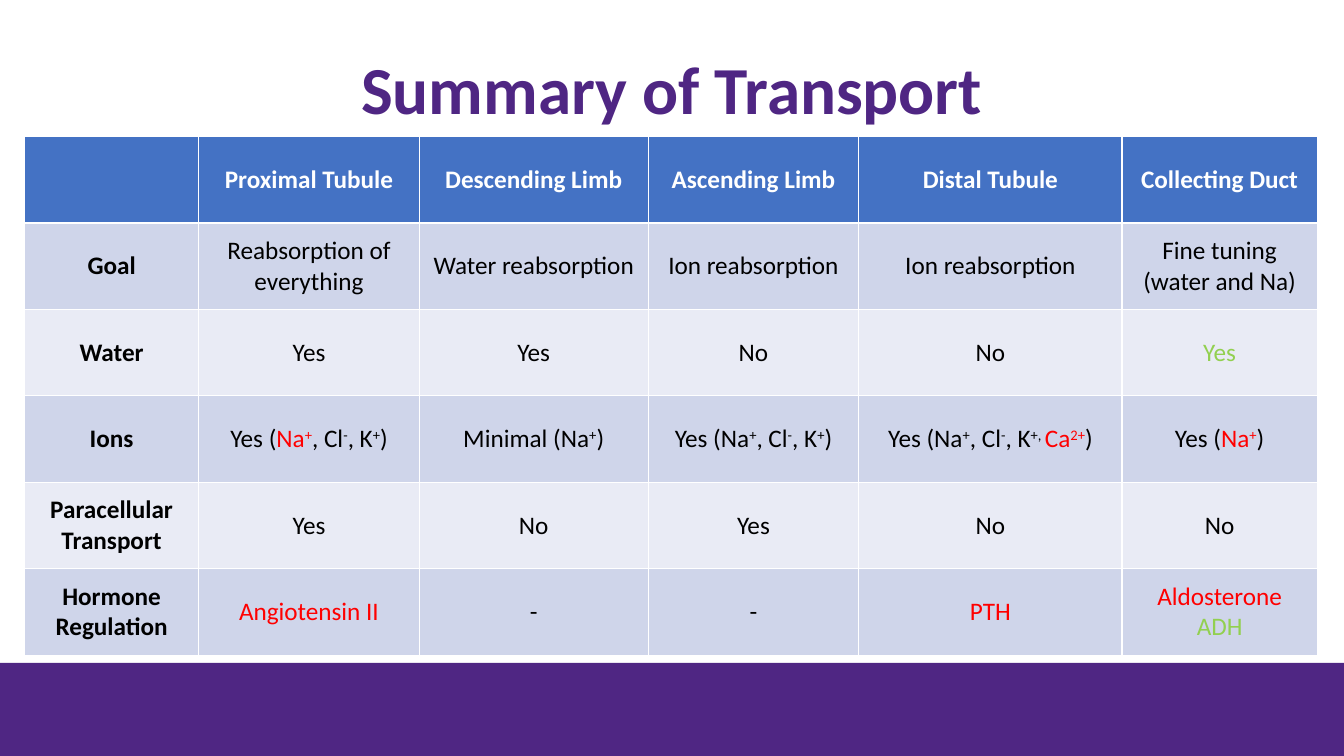
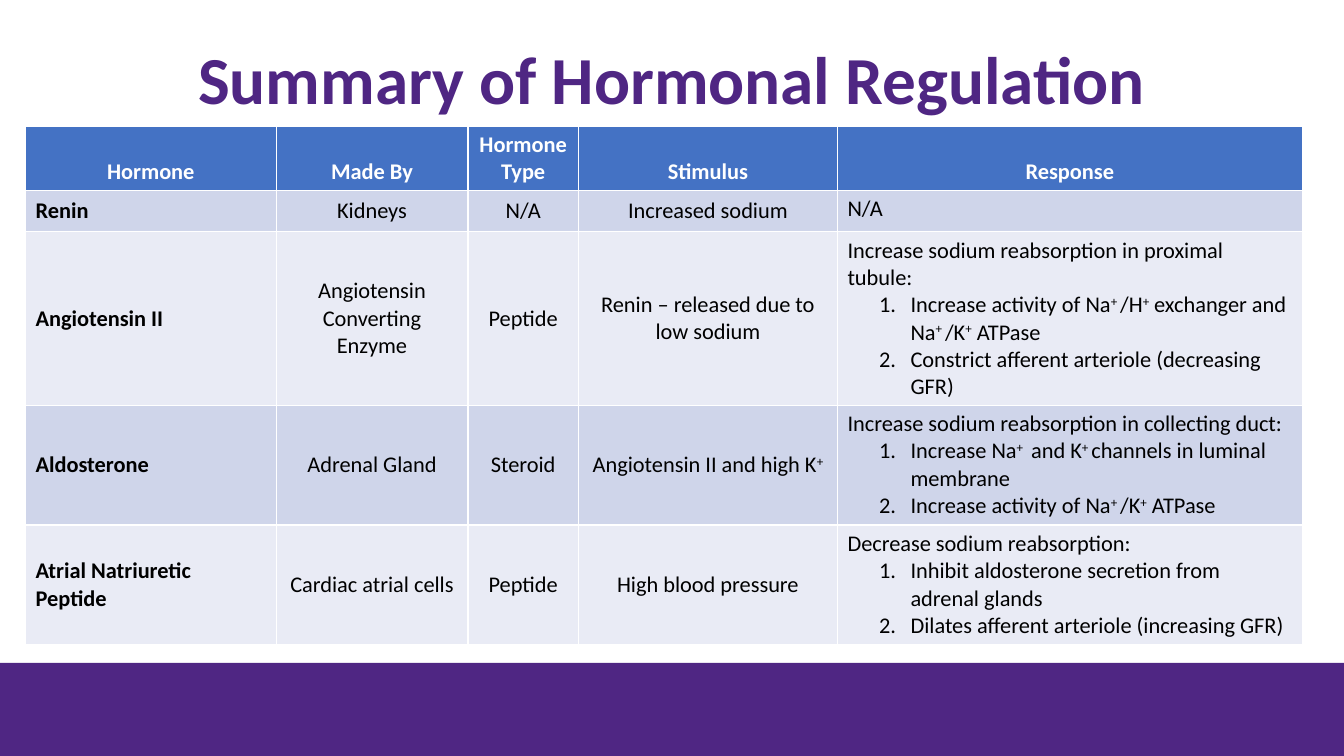
from lxml import etree
from pptx import Presentation
from pptx.dml.color import RGBColor
from pptx.enum.shapes import MSO_SHAPE
from pptx.enum.text import MSO_ANCHOR, PP_ALIGN
from pptx.oxml.ns import qn
from pptx.util import Pt

LEFT, MID = PP_ALIGN.LEFT, PP_ALIGN.CENTER
TOP, CENTER, LOW = MSO_ANCHOR.TOP, MSO_ANCHOR.MIDDLE, MSO_ANCHOR.BOTTOM
RECT = MSO_SHAPE.RECTANGLE

HUES = {
    "purple": "4F2683", "head": "4472C4", "dark": "CFD5EA", "light": "E9EBF5",
    "white": "FFFFFF", "black": "000000", "red": "FF0000", "green": "92D050",
}
FONT = "Calibri"
WIDE, HIGH = 960, 540
BAND = 66.5  # height of the footer band


def hue(name):
    return RGBColor.from_string(HUES[name])


def write(frame, text, size=18, color="black", bold=False, align=MID, space=None):
    """Markup: ^superscript^, |hue:coloured|, and "# " starts a numbered line."""
    for n, line in enumerate(text.split("\n")):
        para = frame.paragraphs[0] if n == 0 else frame.add_paragraph()
        para.alignment = align
        if space:
            para.line_spacing = space
        if line.startswith("# "):
            line = line[2:]
            props = para._p.get_or_add_pPr()
            props.set("marL", str(Pt(45)))
            props.set("indent", str(Pt(-22.5)))
            etree.SubElement(props, qn("a:buFont"), typeface="+mj-lt")
            etree.SubElement(props, qn("a:buAutoNum"), type="arabicPeriod")
        for i, part in enumerate(line.split("|")):
            tint = color
            if i % 2:
                tint, _, part = part.partition(":")
            for j, bit in enumerate(part.split("^")):
                if not bit:
                    continue
                run = para.add_run()
                run.text = bit
                font = run.font
                font.name, font.size, font.bold = FONT, Pt(size), bold
                font.color.rgb = hue(tint)
                if j % 2:
                    font._element.set("baseline", "30000")


SLIDES = [
    {
        "title": "Summary of Transport", "tall": 100, "size": 18,
        "at": (17.5, 97.5), "anchor": CENTER, "side": MID, "last": (MID, CENTER),
        "cols": [124.5, 157.5, 163.5, 150.5, 188, 139.5],
        "rows": [61.75] * 6,
        "cells": [
            ["", "Proximal Tubule", "Descending Limb", "Ascending Limb",
             "Distal Tubule", "Collecting Duct"],
            ["Goal", "Reabsorption of everything", "Water reabsorption",
             "Ion reabsorption", "Ion reabsorption", "Fine tuning (water and Na)"],
            ["Water", "Yes", "Yes", "No", "No", "|green:Yes|"],
            ["Ions", "Yes (|red:Na^+^|, Cl^-^, K^+^)", "Minimal (Na^+^)",
             "Yes (Na^+^, Cl^-^, K^+^)",
             "Yes (Na^+^, Cl^-^, K^+, ^|red:Ca^2+^|)", "Yes (|red:Na^+^|)"],
            ["Paracellular Transport", "Yes", "No", "Yes", "No", "No"],
            ["Hormone Regulation", "|red:Angiotensin II|", "-", "-", "|red:PTH|",
             "|red:Aldosterone|\n|green:ADH|"],
        ],
    },
    {
        "title": "Summary of Hormonal Regulation", "tall": 86.5, "size": 16,
        "at": (18.25, 90), "anchor": LOW, "side": LEFT, "last": (LEFT, TOP),
        "cols": [179, 137, 79, 185, 332],
        "rows": [46, 29.5, 124, 85.5, 85.5],
        "cells": [
            ["Hormone", "Made By", "Hormone Type", "Stimulus", "Response"],
            ["Renin", "Kidneys", "N/A", "Increased sodium", "N/A"],
            ["Angiotensin II", "Angiotensin Converting Enzyme", "Peptide",
             "Renin – released due to low sodium",
             "Increase sodium reabsorption in proximal tubule:\n"
             "# Increase activity of Na^+ ^/H^+^ exchanger and Na^+ ^/K^+^ ATPase\n"
             "# Constrict afferent arteriole (decreasing GFR)"],
            ["Aldosterone", "Adrenal Gland", "Steroid",
             "Angiotensin II and high K^+^",
             "Increase sodium reabsorption in collecting duct:\n"
             "# Increase Na^+ ^ and K^+ ^channels in luminal membrane\n"
             "# Increase activity of Na^+ ^/K^+^ ATPase"],
            ["Atrial Natriuretic Peptide", "Cardiac atrial cells", "Peptide",
             "High blood pressure",
             "Decrease sodium reabsorption:\n"
             "# Inhibit aldosterone secretion from adrenal glands\n"
             "# Dilates afferent arteriole (increasing GFR)"],
        ],
    },
]

deck = Presentation()
deck.slide_width, deck.slide_height = Pt(WIDE), Pt(HIGH)

for page in SLIDES:
    slide = deck.slides.add_slide(deck.slide_layouts[6])
    shapes = slide.shapes

    # Title
    title = shapes.add_textbox(Pt(66), Pt(16), Pt(WIDE - 2 * 66), Pt(page["tall"]))
    frame = title.text_frame
    frame.word_wrap = True
    frame.vertical_anchor = CENTER
    write(frame, page["title"], size=48, color="purple", bold=True, space=0.9)

    # Footer band
    band = shapes.add_shape(RECT, 0, Pt(HIGH - BAND), Pt(WIDE), Pt(BAND))
    band.shadow.inherit = False
    band.fill.solid()
    band.fill.fore_color.rgb = hue("purple")
    band.line.fill.background()

    # Table; its default style draws the white rules
    cols, rows = page["cols"], page["rows"]
    left, top = page["at"]
    table = shapes.add_table(len(rows), len(cols), Pt(left), Pt(top),
                             Pt(sum(cols)), Pt(sum(rows))).table
    for col, width in zip(table.columns, cols):
        col.width = Pt(width)
    for row, height in zip(table.rows, rows):
        row.height = Pt(height)

    # Cells
    for r, line in enumerate(page["cells"]):
        for c, text in enumerate(line):
            cell = table.cell(r, c)
            align, anchor = MID, CENTER
            if r == 0:
                anchor = page["anchor"]
            elif c == 0:
                align = page["side"]
            elif c == len(cols) - 1:
                align, anchor = page["last"]
            cell.vertical_anchor = anchor
            cell.fill.solid()
            cell.fill.fore_color.rgb = hue(
                "head" if r == 0 else "dark" if r % 2 else "light")
            write(cell.text_frame, text, size=page["size"], align=align,
                  color="white" if r == 0 else "black", bold=r == 0 or c == 0)

deck.save("out.pptx")
